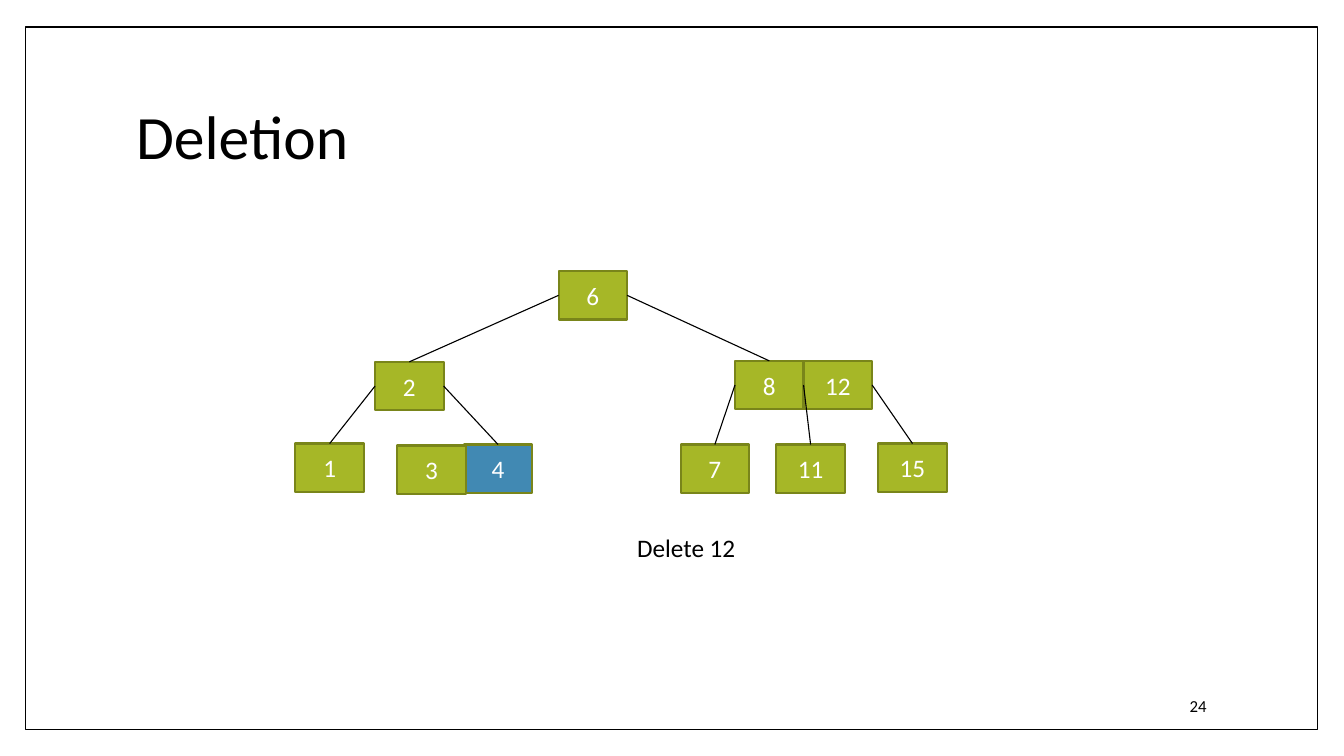
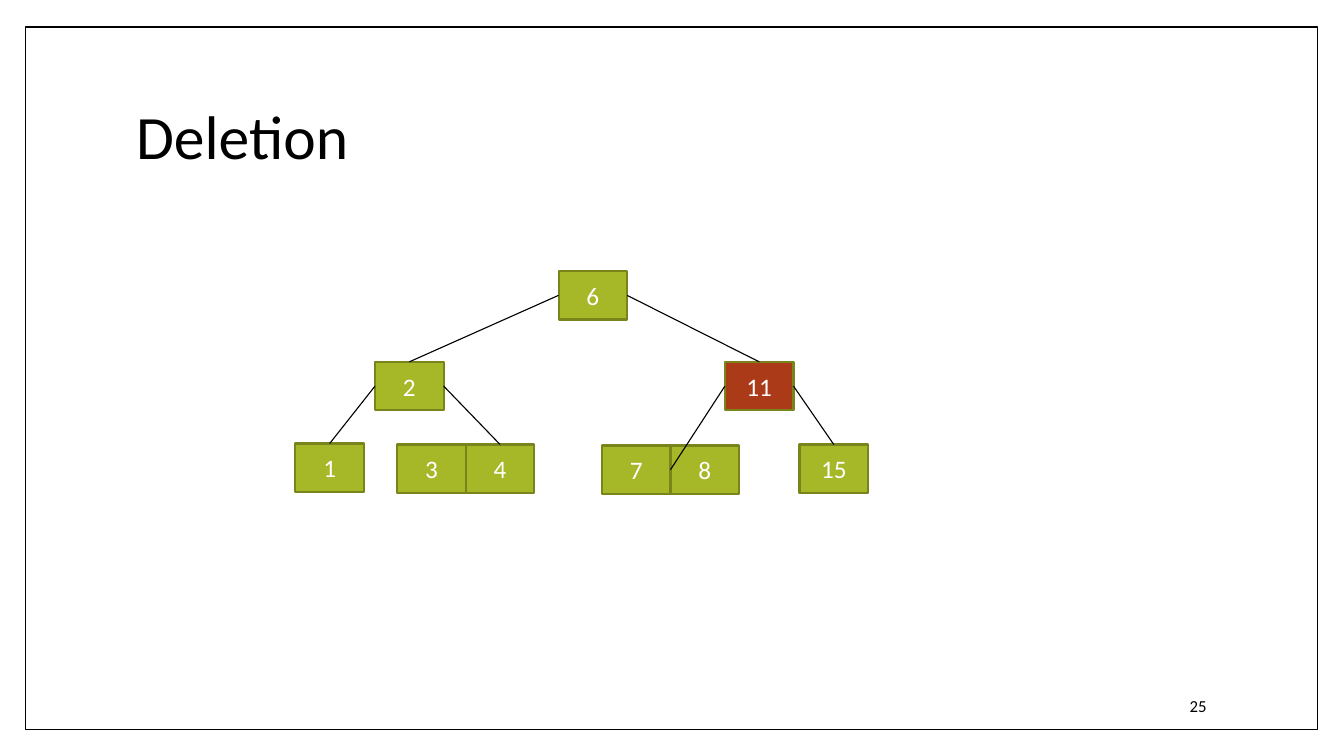
import pptx
import pptx.util
import pptx.dml.color
import pptx.enum.shapes
import pptx.enum.text
import pptx.oxml.ns
import lxml.etree

Inches = pptx.util.Inches
Pt = pptx.util.Pt
RGBColor = pptx.dml.color.RGBColor

BLACK = RGBColor(0x00, 0x00, 0x00)
WHITE = RGBColor(0xFF, 0xFF, 0xFF)
GREEN = RGBColor(0xA6, 0xB7, 0x27)
DARK_GREEN = RGBColor(0x79, 0x85, 0x1A)
BLUE = RGBColor(0x41, 0x89, 0xB3)
RED = RGBColor(0xAB, 0x3B, 0x18)

FONT = "Calibri"
NODE_SIZE = (0.68, 0.48)
TOP, LEFT, RIGHT = 0, 1, 3  # connection sites of a rectangle

# Each node: key, left, top, fill
SHARED_NODES = [
    ("6", 5.54, 2.69, GREEN),
    ("2", 3.72, 3.59, GREEN),
    ("1", 2.93, 4.4, GREEN),
]
# Each edge: parent key, parent side, child key, child side
SHARED_EDGES = [
    ("6", LEFT, "2", TOP),
    ("2", LEFT, "1", TOP),
    ("2", RIGHT, "4", TOP),
]

BEFORE_NODES = [
    ("4", 4.6, 4.41, BLUE),
    ("3", 3.94, 4.42, GREEN),
    ("8", 7.29, 3.58, GREEN),
    ("12", 7.97, 3.58, GREEN),
    ("7", 6.75, 4.41, GREEN),
    ("11", 7.7, 4.41, GREEN),
    ("15", 8.71, 4.4, GREEN),
]
BEFORE_EDGES = [
    ("6", RIGHT, "8", TOP),
    ("8", LEFT, "7", TOP),
    ("12", LEFT, "11", TOP),
    ("12", RIGHT, "15", TOP),
]

AFTER_NODES = [
    ("3", 3.94, 4.41, GREEN),
    ("4", 4.62, 4.41, GREEN),
    ("11", 7.19, 3.59, RED),
    ("7", 5.97, 4.42, GREEN),
    ("8", 6.65, 4.42, GREEN),
    ("15", 7.93, 4.41, GREEN),
]
AFTER_EDGES = [
    ("6", RIGHT, "11", TOP),
    ("11", LEFT, "8", LEFT),
    ("11", RIGHT, "15", TOP),
]


def write(shape, text, size, color):
    """Put one line of text into a shape, without margins."""
    frame = shape.text_frame
    frame.margin_left = frame.margin_right = 0
    frame.margin_top = frame.margin_bottom = 0
    para = frame.paragraphs[0]
    span = para.add_run()
    span.text = text
    span.font.name = FONT
    span.font.size = Pt(size)
    span.font.color.rgb = color
    return para


def add_label(page, text, left, top, width, height, size):
    box = page.shapes.add_textbox(
        Inches(left), Inches(top), Inches(width), Inches(height))
    box.text_frame.word_wrap = True
    write(box, text, size, BLACK)


def add_rectangle(page, left, top, width, height, line_color, line_width):
    shape = page.shapes.add_shape(
        pptx.enum.shapes.MSO_SHAPE.RECTANGLE,
        Inches(left), Inches(top), Inches(width), Inches(height))
    shape.shadow.inherit = False
    shape.fill.background()
    shape.line.color.rgb = line_color
    shape.line.width = Pt(line_width)
    return shape


def add_node(page, key, left, top, fill):
    node = add_rectangle(page, left, top, *NODE_SIZE, DARK_GREEN, 1.5)
    node.fill.solid()
    node.fill.fore_color.rgb = fill
    para = write(node, key, 18, WHITE)
    para.alignment = pptx.enum.text.PP_ALIGN.CENTER
    node.text_frame.vertical_anchor = pptx.enum.text.MSO_ANCHOR.MIDDLE
    return node


def add_edge(page, parent, parent_side, child, child_side):
    edge = page.shapes.add_connector(
        pptx.enum.shapes.MSO_CONNECTOR.STRAIGHT, 0, 0, 0, 0)
    edge.begin_connect(parent, parent_side)
    edge.end_connect(child, child_side)
    edge.line.color.rgb = BLACK
    edge.line.width = Pt(0.79)
    lxml.etree.SubElement(
        edge.element.spPr, pptx.oxml.ns.qn("a:effectLst"))


def add_tree(page, nodes, edges):
    drawn = {}
    for key, left, top, fill in SHARED_NODES + nodes:
        drawn[key] = add_node(page, key, left, top, fill)
    for parent, parent_side, child, child_side in SHARED_EDGES + edges:
        add_edge(page, drawn[parent], parent_side, drawn[child], child_side)


def add_page(deck, title, number):
    """Add a page with the frame, title and page number."""
    page = deck.slides.add_slide(deck.slide_layouts[6])
    add_rectangle(page, 0.25, 0.27, 12.82, 6.97, BLACK, 1)
    add_label(page, title, 1.35, 0.97, 4, 0.75, 44)
    add_label(page, str(number), 11.8, 6.9, 0.3, 0.2, 12)
    return page


def main():
    deck = pptx.Presentation()
    deck.slide_width = Inches(13.33)
    deck.slide_height = Inches(7.5)

    before = add_page(deck, "Deletion", 24)
    add_tree(before, BEFORE_NODES, BEFORE_EDGES)
    add_label(before, "Delete 12", 6.32, 5.28, 1.2, 0.32, 18)

    after = add_page(deck, "Deletion", 25)
    add_tree(after, AFTER_NODES, AFTER_EDGES)

    deck.save("out.pptx")


if __name__ == "__main__":
    main()
